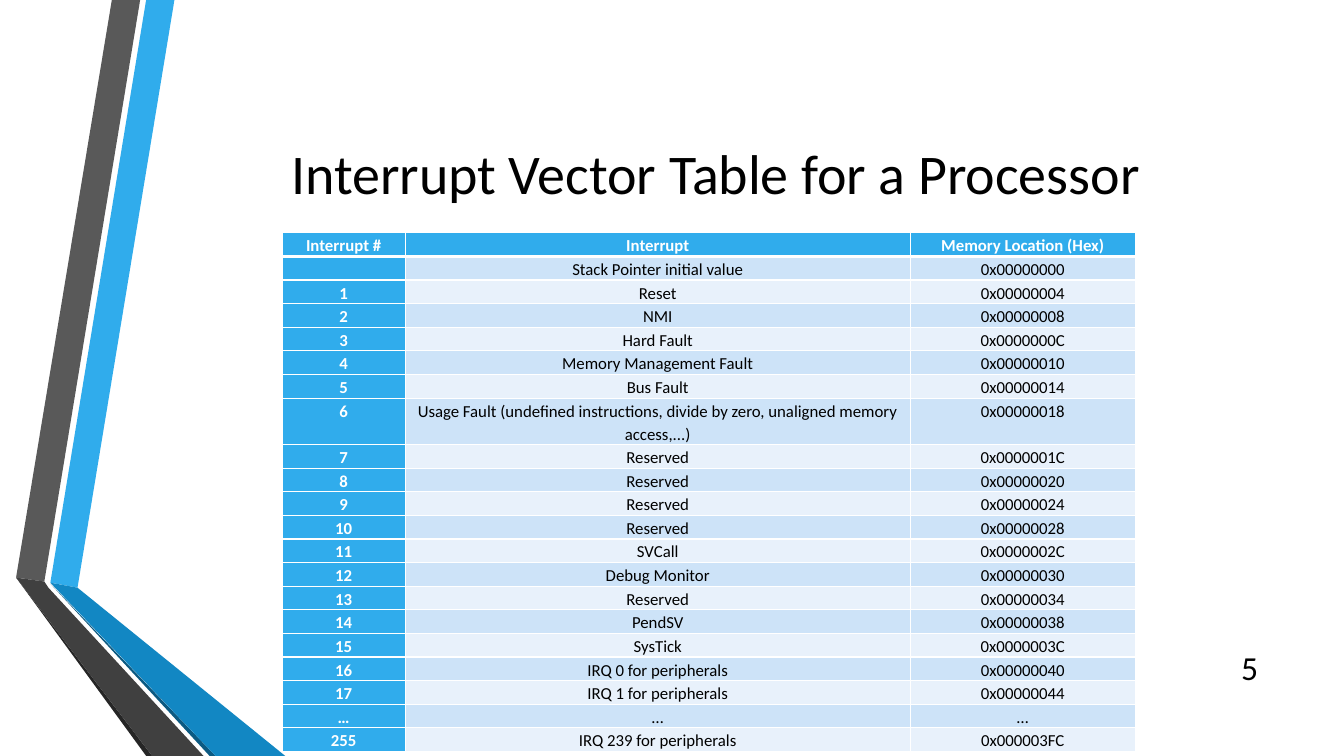
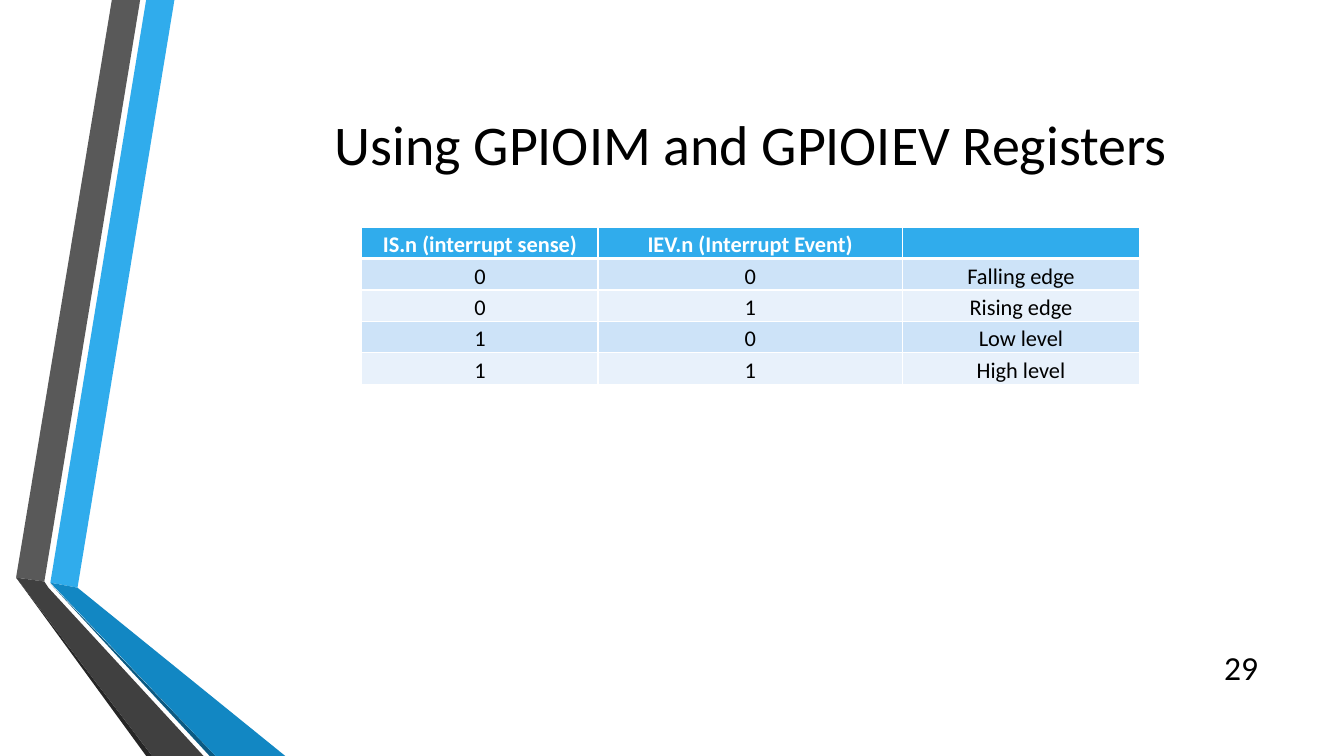
from lxml.etree import SubElement
from pptx import Presentation
from pptx.dml.color import RGBColor
from pptx.enum.text import MSO_ANCHOR, MSO_AUTO_SIZE, PP_ALIGN
from pptx.oxml.ns import qn
from pptx.util import Pt

FONT = "Calibri"
BLACK = RGBColor(0x00, 0x00, 0x00)
WHITE = RGBColor(0xFF, 0xFF, 0xFF)
BLUE = RGBColor(0x30, 0xAC, 0xEC)
DEEP_BLUE = RGBColor(0x12, 0x87, 0xC3)
NAVY = RGBColor(0x0C, 0x5A, 0x82)
GRAY = RGBColor(0x59, 0x59, 0x59)
CHARCOAL = RGBColor(0x40, 0x40, 0x40)
DARK = RGBColor(0x26, 0x26, 0x26)
ROW_FILLS = (RGBColor(0xCD, 0xE3, 0xF8), RGBColor(0xE8, 0xF1, 0xFB))

RIBBONS = [
    (BLUE, [(36, 416.2), (55.4, 419.8), (124.6, 0), (104.4, 0)]),
    (GRAY, [(100.1, 0), (79.9, 0), (11.5, 412.6), (31.7, 415.4)]),
    (DARK, [(11.5, 412.6), (104.4, 540), (108.7, 540)]),
    (NAVY, [(36, 416.9), (149.8, 540), (154.1, 540)]),
    (DEEP_BLUE, [(36, 416.2), (154.1, 540), (203.8, 540), (55.4, 419.8)]),
    (CHARCOAL, [(145.4, 540), (34.6, 419.8), (31.7, 415.4), (11.5, 412.6), (108.7, 540)]),
]

VECTOR_ROWS = [
    ("Interrupt #", "Interrupt", "Memory Location (Hex)"),
    ("", "Stack Pointer initial value", "0x00000000"),
    ("1", "Reset", "0x00000004"),
    ("2", "NMI", "0x00000008"),
    ("3", "Hard Fault", "0x0000000C"),
    ("4", "Memory Management Fault", "0x00000010"),
    ("5", "Bus Fault", "0x00000014"),
    ("6", "Usage Fault (undefined instructions, divide by zero, unaligned memory access,...)",
     "0x00000018"),
    ("7", "Reserved", "0x0000001C"),
    ("8", "Reserved", "0x00000020"),
    ("9", "Reserved", "0x00000024"),
    ("10", "Reserved", "0x00000028"),
    ("11", "SVCall", "0x0000002C"),
    ("12", "Debug Monitor", "0x00000030"),
    ("13", "Reserved", "0x00000034"),
    ("14", "PendSV", "0x00000038"),
    ("15", "SysTick", "0x0000003C"),
    ("16", "IRQ 0 for peripherals", "0x00000040"),
    ("17", "IRQ 1 for peripherals", "0x00000044"),
    ("…", "…", "…"),
    ("255", "IRQ 239 for peripherals", "0x000003FC"),
]

TRIGGER_ROWS = [
    ("IS.n (interrupt sense)", "IEV.n (Interrupt Event)", ""),
    ("0", "0", "Falling edge"),
    ("0", "1", "Rising edge"),
    ("1", "0", "Low level"),
    ("1", "1", "High level"),
]

SLIDES = [
    {
        "title": "Interrupt Vector Table for a Processor",
        "title_box": (116.6, 54, 789.1, 138.2),
        "number": "5",
        "rows": VECTOR_ROWS,
        "origin": (201.6, 166.3),
        "widths": (87.8, 360.9, 160.6),
        "row_height": 16.87,
        "size": 12,
        "inset": 4.3,
        "header_column": True,
    },
    {
        "title": "Using GPIOIM and GPIOIEV Registers",
        "title_box": (113, 59, 847, 87.1),
        "number": "29",
        "rows": TRIGGER_ROWS,
        "origin": (258.5, 162.3),
        "widths": (168.7, 217.4, 169.4),
        "row_height": 22.45,
        "size": 16,
        "inset": 5,
        "header_column": False,
    },
]


def set_attributes(target, values):
    for name, value in values.items():
        setattr(target, name, value)


def write(paragraph, text, size, color, bold=False, alignment=PP_ALIGN.CENTER):
    paragraph.alignment = alignment
    if text:
        run = paragraph.add_run()
        run.text = text
        set_attributes(run.font, {"name": FONT, "size": Pt(size), "bold": bold})
        run.font.color.rgb = color
    SubElement(paragraph._p, qn("a:endParaRPr"), sz=str(size * 100))


def add_ribbons(slide, layout):
    for color, points in RIBBONS:
        corners = [(Pt(x), Pt(y)) for x, y in points]
        builder = slide.shapes.build_freeform(*corners[0])
        builder.add_line_segments(corners[1:], close=True)
        ribbon = builder.convert_to_shape()
        ribbon.shadow.inherit = False
        ribbon.fill.solid()
        ribbon.fill.fore_color.rgb = color
        ribbon.line.fill.background()
        layout.element.cSld.spTree.append(ribbon.element)


def add_title(slide, text, box):
    title = slide.shapes.title
    set_attributes(title, dict(zip(("left", "top", "width", "height"), map(Pt, box))))
    set_attributes(title.text_frame, {
        "word_wrap": True,
        "auto_size": MSO_AUTO_SIZE.NONE,
        "vertical_anchor": MSO_ANCHOR.MIDDLE,
    })
    write(title.text_frame.paragraphs[0], text, 40, BLACK)


def add_slide_number(slide, text):
    box = slide.shapes.add_textbox(Pt(862.6), Pt(462.2), Pt(43.2), Pt(28.8))
    set_attributes(box.text_frame, {"word_wrap": True, "vertical_anchor": MSO_ANCHOR.MIDDLE})
    write(box.text_frame.paragraphs[0], text, 24, BLACK, alignment=PP_ALIGN.RIGHT)


def add_borders(cell, widths):
    properties = cell._tc.get_or_add_tcPr()
    for side, width in widths.items():
        line = SubElement(properties, qn(f"a:ln{side}"), w=str(Pt(width)))
        fill = SubElement(line, qn("a:solidFill"))
        SubElement(fill, qn("a:srgbClr"), val=str(WHITE))


def add_grid(slide, content):
    rows, widths = content["rows"], content["widths"]
    left, top = content["origin"]
    frame = slide.shapes.add_table(
        len(rows), len(widths), Pt(left), Pt(top),
        Pt(sum(widths)), Pt(content["row_height"] * len(rows)))
    table = frame.table
    table.first_col = content["header_column"]
    for column, width in zip(table.columns, widths):
        column.width = Pt(width)
    for row_index, row in enumerate(rows):
        for column_index, text in enumerate(row):
            cell = table.cell(row_index, column_index)
            is_header = row_index == 0 or (content["header_column"] and column_index == 0)
            set_attributes(cell, {
                "margin_left": Pt(content["inset"]),
                "margin_right": Pt(content["inset"]),
                "margin_top": 0,
                "margin_bottom": 0,
            })
            add_borders(cell, {
                "L": 1,
                "R": 1,
                "T": 3 if row_index == 1 else 1,
                "B": 3 if row_index == 0 else 1,
            })
            cell.fill.solid()
            cell.fill.fore_color.rgb = BLUE if is_header else ROW_FILLS[(row_index - 1) % 2]
            paragraph = cell.text_frame.paragraphs[0]
            paragraph.line_spacing = 1.15
            write(paragraph, text, content["size"], WHITE if is_header else BLACK, is_header)


def main():
    presentation = Presentation()
    set_attributes(presentation, {"slide_width": Pt(960), "slide_height": Pt(540)})
    layout = presentation.slide_layouts[5]
    for index, content in enumerate(SLIDES):
        slide = presentation.slides.add_slide(layout)
        if index == 0:
            add_ribbons(slide, layout)
        add_title(slide, content["title"], content["title_box"])
        add_slide_number(slide, content["number"])
        add_grid(slide, content)
    presentation.save("out.pptx")


if __name__ == "__main__":
    main()
